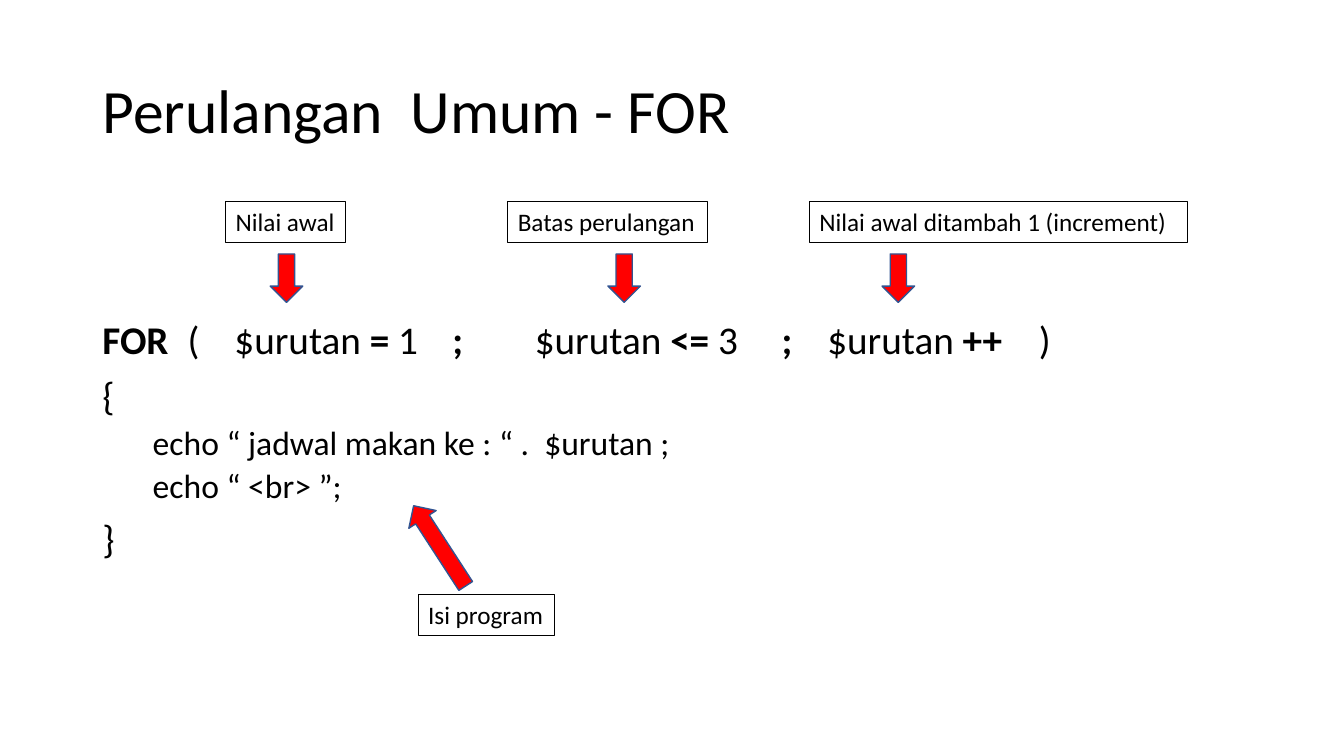
from lxml.etree import SubElement
from pptx import Presentation
from pptx.dml.color import RGBColor
from pptx.enum.shapes import MSO_SHAPE as Shape
from pptx.enum.text import MSO_ANCHOR as Anchor, PP_ALIGN as Align
from pptx.oxml.ns import qn
from pptx.util import Cm, Pt

BLACK = RGBColor(0x00, 0x00, 0x00)
RED = RGBColor(0xFF, 0x00, 0x00)
BLUE = RGBColor(0x32, 0x54, 0x91)


def write(para, text, size=18, bold=False):
    span = para.add_run()
    span.text = text
    span.font.name = "Calibri"
    span.font.size = Pt(size)
    span.font.bold = bold
    span.font.color.rgb = BLACK
    para.alignment = Align.LEFT


deck = Presentation()
deck.slide_width, deck.slide_height = Cm(33.87), Cm(19.05)
page = deck.slides.add_slide(deck.slide_layouts[5])

# Title
title = page.shapes.title
title.left, title.top, title.width, title.height = Cm(2.33), Cm(1.01), Cm(29.21), Cm(3.68)
title.text_frame.vertical_anchor = Anchor.MIDDLE
title.text_frame.word_wrap = True
heading = title.text_frame.paragraphs[0]
heading.line_spacing = 0.9
write(heading, "Perulangan  Umum - FOR", size=44)

# Program code: (indent level, spans), where every second span is plain
code_lines = [
    (0, ["FOR", "\t(\t$urutan ", "=", " 1", "\t;", "\t$urutan ", "<= ", "3",
         "\t;", "\t$urutan ", "++", "\t)"]),
    (0, ["", "{"]),
    (1, ["", "echo “ jadwal makan ke : “ .  $urutan ;"]),
    (1, ["", "echo “ <br> ”;"]),
    (0, ["", "}"]),
]
code = page.shapes.add_textbox(Cm(2.33), Cm(7.95), Cm(29.21), Cm(9.22)).text_frame
code.word_wrap = True
for number, (level, spans) in enumerate(code_lines):
    para = code.add_paragraph() if number else code.paragraphs[0]
    para.line_spacing = 0.9
    para.space_before = Pt((5 if level else 10) if number else 0)
    for index, text in enumerate(spans):
        if text:
            write(para, text, size=24 if level else 28, bold=index % 2 == 0)
    if level:
        para._p.get_or_add_pPr().set("marL", str(Cm(1.27)))

# Tab stops that line up the parts of the FOR statement
tabs = SubElement(code.paragraphs[0]._p.get_or_add_pPr(), qn("a:tabLst"))
for stop in (2.15, 3.33, 8.82, 10.9, 17.12, 18.27, 23.6):
    SubElement(tabs, qn("a:tab"), pos=str(Cm(stop)), algn="l")

# Arrows: left, top, height, rotation
arrows = [(6.81, 6.4, 1.22, 0), (15.32, 6.4, 1.22, 0), (22.23, 6.4, 1.22, 0),
          (10.67, 12.55, 2.41, 147)]
for left, top, height, rotation in arrows:
    arrow = page.shapes.add_shape(Shape.DOWN_ARROW, Cm(left), Cm(top), Cm(0.82), Cm(height))
    arrow.rotation = rotation
    arrow.shadow.inherit = False
    arrow.fill.solid()
    arrow.fill.fore_color.rgb = RED
    arrow.line.color.rgb = BLUE
    arrow.line.width = Pt(1)

# Labels: text, left, top, width
labels = [("Nilai awal", 5.69, 5.08, 3.03),
          ("Batas perulangan", 12.8, 5.08, 5.03),
          ("Nilai awal ditambah 1 (increment)", 20.4, 5.08, 9.53),
          ("Isi program", 10.54, 14.99, 3.43)]
for text, left, top, width in labels:
    label = page.shapes.add_textbox(Cm(left), Cm(top), Cm(width), Cm(1.03))
    label.line.color.rgb = BLACK
    label.line.width = Pt(0.75)
    label.text_frame.word_wrap = False
    write(label.text_frame.paragraphs[0], text)

deck.save("out.pptx")
